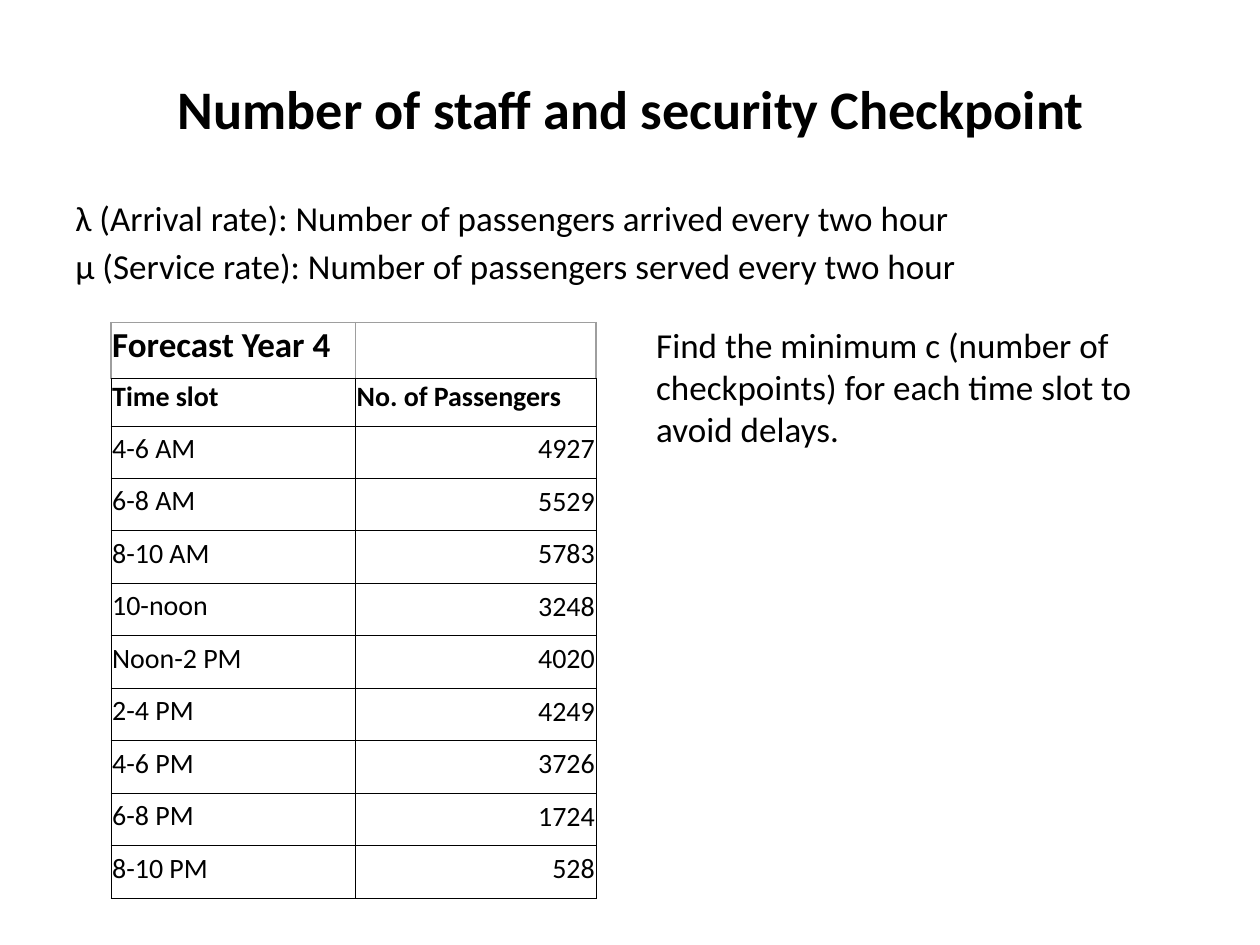
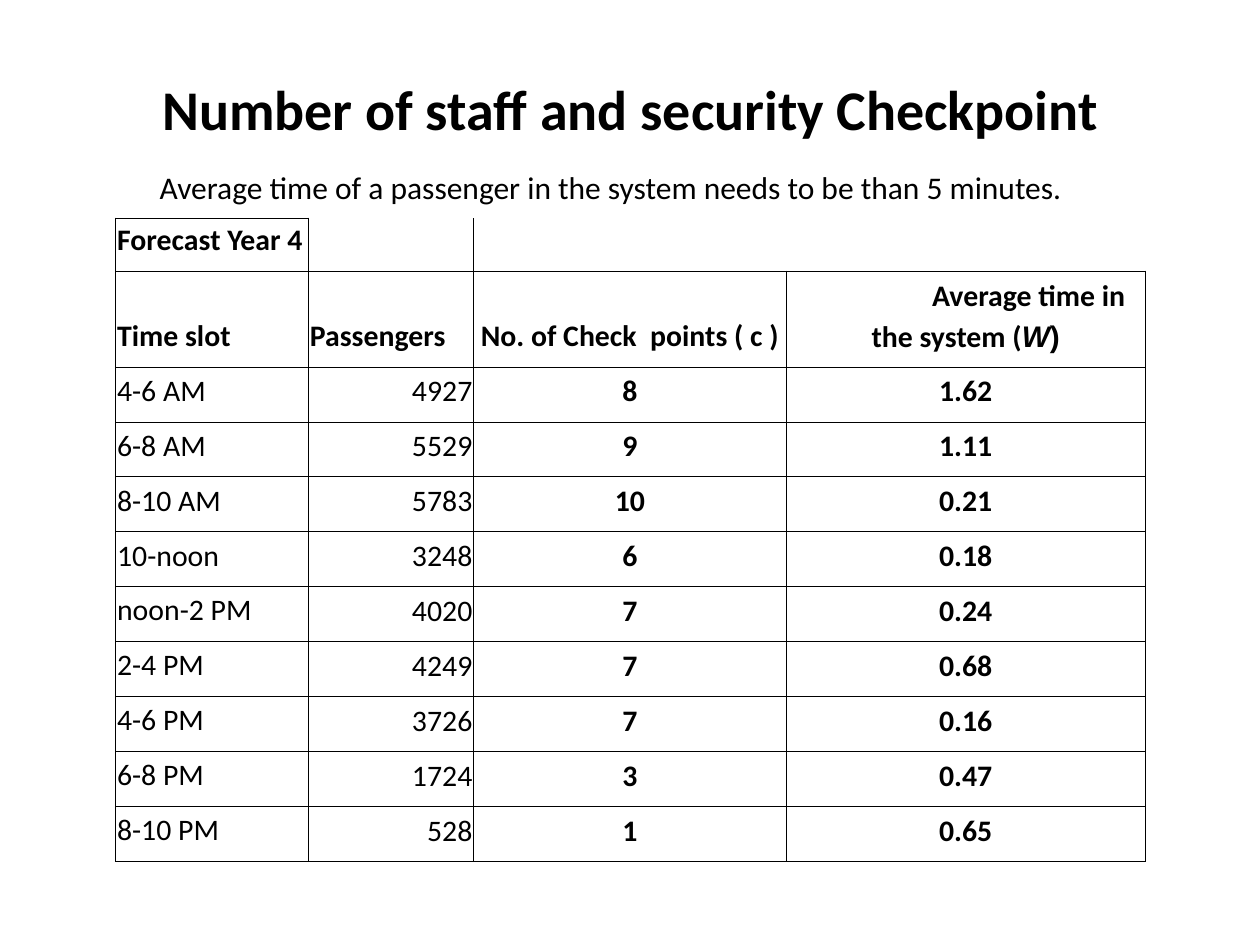
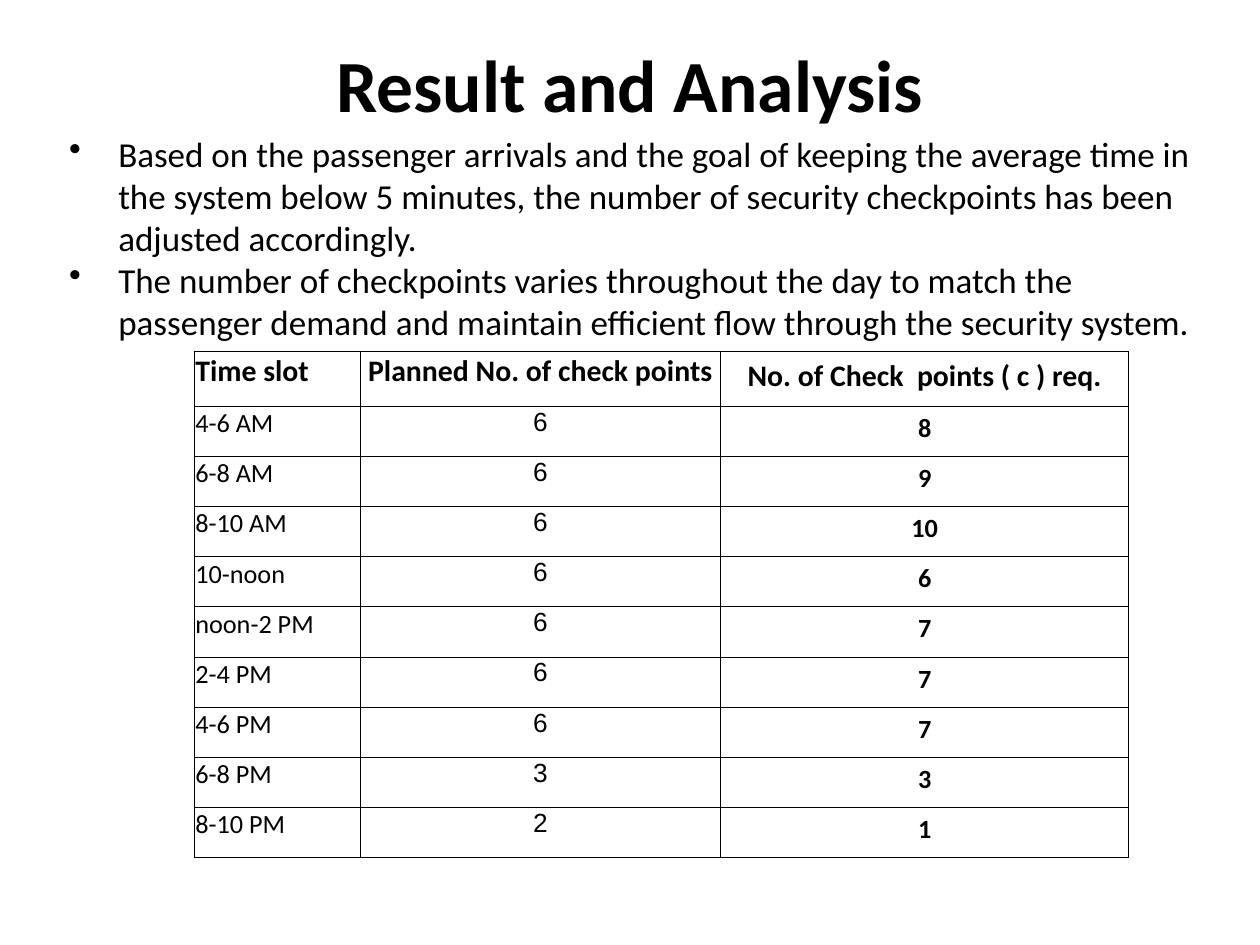
from typing import NamedTuple

from lxml import etree
from pptx import Presentation
from pptx.dml.color import RGBColor
from pptx.enum.text import MSO_ANCHOR, PP_ALIGN
from pptx.oxml.ns import qn
from pptx.util import Pt

LEFT, CENTER, RIGHT = PP_ALIGN.LEFT, PP_ALIGN.CENTER, PP_ALIGN.RIGHT
TOP, MIDDLE, BOTTOM = MSO_ANCHOR.TOP, MSO_ANCHOR.MIDDLE, MSO_ANCHOR.BOTTOM

BLACK = RGBColor(0x00, 0x00, 0x00)
GREY = RGBColor(0x9E, 0x9E, 0x9E)

MAIN, ALT = "Calibri", "Arial"
WIDE = 1.15

# Border styles: colour and width in points
THIN = (BLACK, 0.5)
SOFT = (GREY, 0.75)
FULL = dict.fromkeys("LRTB", THIN)


class Col(NamedTuple):
    """How a table column sets its header and its values."""
    align: PP_ALIGN
    space: float
    head: PP_ALIGN
    gap: float
    bold: bool = False
    font: str = MAIN


SLOT = Col(LEFT, 1, LEFT, 1)
COUNT = Col(RIGHT, WIDE, LEFT, 1)
PLAN = Col(CENTER, 1, CENTER, 1, font=ALT)
RESULT = Col(CENTER, WIDE, CENTER, WIDE, bold=True)

# Data shared by the tables
SLOTS = ["4-6 AM", "6-8 AM", "8-10 AM", "10-noon", "noon-2 PM",
         "2-4 PM", "4-6 PM", "6-8 PM", "8-10 PM"]
LOADS = [4927, 5529, 5783, 3248, 4020, 4249, 3726, 1724, 528]
POINTS = [8, 9, 10, 6, 7, 7, 7, 3, 1]
PLANNED = [6] * 7 + [3, 2]
TIMES = ["1.62", "1.11", "0.21", "0.18", "0.24", "0.68", "0.16", "0.47", "0.65"]
YEAR = "Forecast Year 4"
CHECKS = "No. of Check  points ( c )"
STAFF = "Number of staff and security Checkpoint"


# Text
def add_run(par, text, size, bold=False, font=MAIN, italic=False):
    run = par.add_run()
    run.text = text
    run.font.name = font
    run.font.size = Pt(size)
    run.font.bold = bold
    run.font.italic = italic
    run.font.color.rgb = BLACK


def add_text(slide, box, lines, size, bold=False, align=LEFT, anchor=TOP,
             pad=3.6, before=0):
    frame = slide.shapes.add_textbox(*map(Pt, box)).text_frame
    frame.word_wrap = True
    frame.vertical_anchor = anchor
    frame.margin_left = frame.margin_right = Pt(7.2)
    frame.margin_top = frame.margin_bottom = Pt(pad)
    for i, line in enumerate(lines):
        par = frame.add_paragraph() if i else frame.paragraphs[0]
        par.alignment = align
        par.space_before = Pt(before)
        add_run(par, line, size, bold)
    return frame


def add_title(slide, text, size, box=(72.7, 28.8, 575.3, 65.5)):
    add_text(slide, box, [text], size, bold=True, align=CENTER, anchor=MIDDLE)


def indent(par, first, left=0):
    props = par._p.get_or_add_pPr()
    props.set("marL", str(Pt(left)))
    props.set("indent", str(Pt(first)))
    return props


def add_bullet(par):
    props = indent(par, -28.1, 36)
    color = etree.SubElement(props, qn("a:buClr"))
    etree.SubElement(color, qn("a:srgbClr"), val=str(BLACK))
    etree.SubElement(props, qn("a:buChar"), char="•")


# Tables
def set_edges(cell, edges):
    props = cell._tc.get_or_add_tcPr()
    for side in "LRTB":
        color, width = edges.get(side, (None, 0))
        line = etree.SubElement(props, qn("a:ln" + side), w=str(Pt(width)))
        if color is None:
            etree.SubElement(line, qn("a:noFill"))
        else:
            fill = etree.SubElement(line, qn("a:solidFill"))
            etree.SubElement(fill, qn("a:srgbClr"), val=str(color))
    cell.fill.background()


def fill_cell(cell, text, size, align, space, bold, font, anchor):
    cell.vertical_anchor = anchor
    cell.margin_left = cell.margin_right = cell.margin_top = Pt(0.72)
    cell.margin_bottom = Pt(7.2)
    par = cell.text_frame.paragraphs[0]
    par.alignment = align
    par.line_spacing = space
    add_run(par, text, size, bold, font)


def add_table(slide, box, cols, widths, heights, heads, data, sizes,
              anchor=BOTTOM, label=None, edges=()):
    """Draw an optional label row, a header row and the data columns."""
    frame = slide.shapes.add_table(len(heights), len(cols), *map(Pt, box))
    table = frame.table
    table.first_row = table.horz_banding = False
    for col, width in zip(table.columns, widths):
        col.width = Pt(width)
    for row, height in zip(table.rows, heights):
        row.height = Pt(height)
    frame.height = Pt(box[3])

    top = len(heights) - len(data[0]) - 1
    for r in range(len(heights)):
        for c in range(len(cols)):
            set_edges(table.cell(r, c), edges[c] if r < top else FULL)
    if label:
        text, size = label
        fill_cell(table.cell(0, 0), text, size, LEFT, 1, True, MAIN, anchor)

    big, small = sizes
    for c, (col, head, values) in enumerate(zip(cols, heads, data)):
        fill_cell(table.cell(top, c), head, big, col.head, col.gap,
                  True, MAIN, anchor)
        for r, value in enumerate(values, top + 1):
            fill_cell(table.cell(r, c), str(value), small, col.align,
                      col.space, col.bold, col.font, anchor)
    return table


# Slides
def add_rates(slide):
    add_title(slide, STAFF, 31)
    add_text(slide, (36, 108.7, 648, 356.4),
             ["λ (Arrival rate): Number of passengers arrived every two hour",
              "µ (Service rate): Number of passengers served every two hour"],
             20, before=3.6)
    soft = {**dict.fromkeys("LRT", SOFT), "B": THIN}
    slots = [s.replace("noon-", "Noon-") for s in SLOTS]
    add_table(slide, (63.4, 184.3, 277.2, 317.5), [SLOT, COUNT],
              [139.7, 137.5], [25.2] * 11,
              ["Time slot", "No. of Passengers"], [slots, LOADS], (16, 16),
              label=(YEAR, 20), edges=[soft, soft])
    add_text(slide, (367.9, 177.8, 293, 87.1),
             ["Find the minimum c (number of checkpoints) for each time slot "
              "to avoid delays."], 20, pad=7.2, before=6.4)


def add_times(slide):
    add_title(slide, STAFF, 32)
    base = {"B": THIN}
    table = add_table(
        slide, (66.2, 124.6, 588, 354.2), [SLOT, COUNT, RESULT, RESULT],
        [110.2, 94.3, 178.6, 205.2], [30.3, 50.4] + [30.3] * 9,
        ["Time slot", "Passengers", CHECKS, "Average time in the system ("],
        [SLOTS, LOADS, POINTS, TIMES], (17, 17), label=(YEAR, 17),
        edges=[FULL, {**base, "L": THIN, "R": THIN}, {**base, "L": THIN}, base])
    par = table.cell(1, 3).text_frame.paragraphs[0]
    indent(par, 72)
    add_run(par, "W", 17, True, ALT, italic=True)
    add_run(par, ")", 17, True, ALT)
    add_text(slide, (84.2, 88.6, 551.5, 36),
             ["Average time of a passenger in the system needs to be than "
              "5 minutes."], 18, pad=7.2)


def add_result(slide):
    add_title(slide, "Result and Analysis", 42, (36, 2.2, 648, 90))
    frame = add_text(
        slide, (24.5, 72, 670.3, 356.4),
        ["Based on the passenger arrivals and the goal of keeping the average "
         "time in the system below 5 minutes, the number of security "
         "checkpoints has been adjusted accordingly.",
         "The number of checkpoints varies throughout the day to match the "
         "passenger demand and maintain efficient flow through the security "
         "system."], 20)
    frame.paragraphs[0].space_before = Pt(3.6)
    for par in frame.paragraphs:
        add_bullet(par)
    add_table(slide, (110.9, 200.9, 534.2, 277.2), [SLOT, PLAN, RESULT],
              [95, 205.9, 233.3], [27.4] + [25.9] * 9,
              ["Time slot", "Planned No. of check points", CHECKS + " req."],
              [SLOTS, PLANNED, POINTS], (17, 15), anchor=TOP)


def main():
    deck = Presentation()
    deck.slide_width, deck.slide_height = Pt(720), Pt(540)
    blank = deck.slide_layouts[6]
    for build in (add_rates, add_times, add_result):
        build(deck.slides.add_slide(blank))
    deck.save("out.pptx")


if __name__ == "__main__":
    main()
